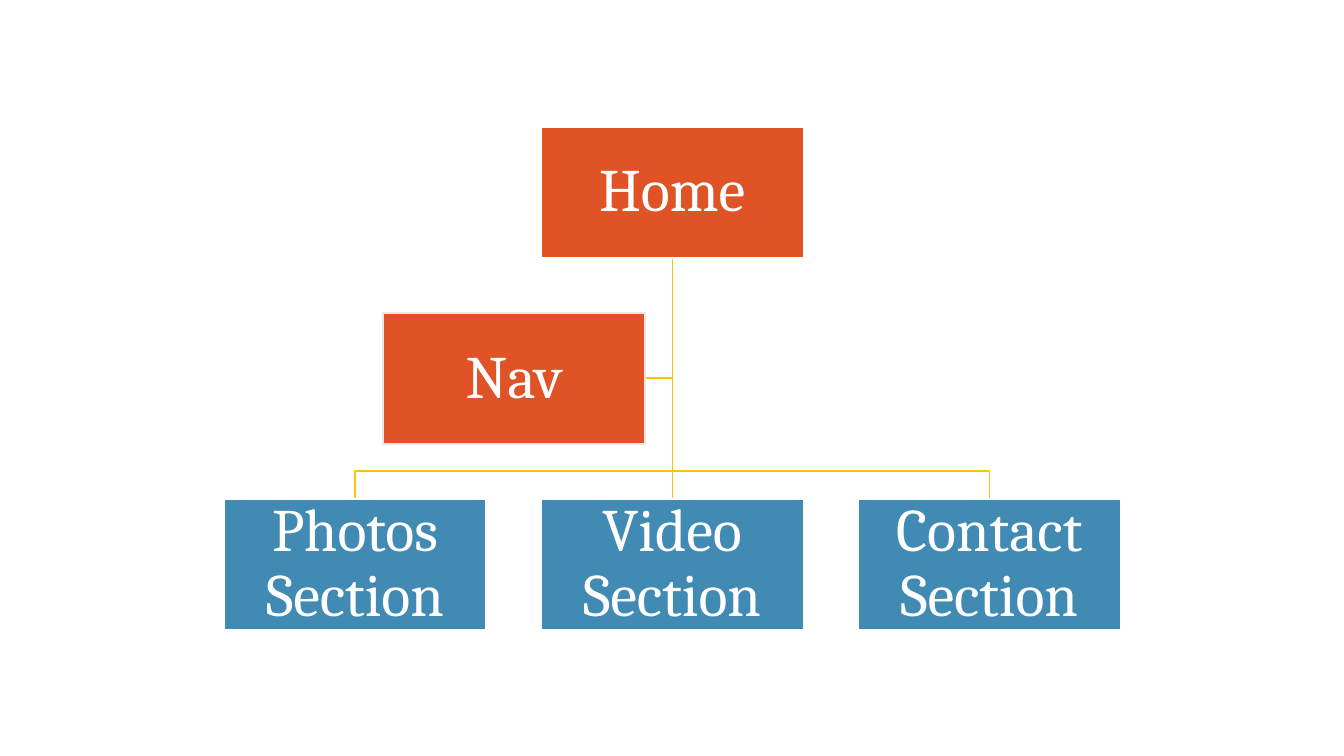
from lxml import etree
from pptx import Presentation
from pptx.dml.color import RGBColor
from pptx.enum.shapes import MSO_CONNECTOR, MSO_SHAPE
from pptx.enum.text import MSO_ANCHOR, PP_ALIGN
from pptx.oxml.ns import qn
from pptx.util import Emu, Inches, Pt

RECTANGLE = MSO_SHAPE.RECTANGLE
STRAIGHT = MSO_CONNECTOR.STRAIGHT
MIDDLE = MSO_ANCHOR.MIDDLE
CENTER = PP_ALIGN.CENTER

SCALE = 914400 / 100.8
COLORS = {
    "orange": "DF5327",
    "blue": "418AB3",
    "link": "FEC306",
    "white": "FFFFFF",
    "gray": "E7E7E7",
}
FONT = "Cambria"
LINE_WIDTH = Pt(0.85)

BOX_WIDTH, BOX_HEIGHT = 262, 131
CENTER_X = 672
COLUMN_STEP = 317
HOME_TOP, ROW_STEP = 127, 186
NAV_TOP = HOME_TOP + ROW_STEP
SECTION_TOP = NAV_TOP + ROW_STEP
HOME_BOTTOM = HOME_TOP + BOX_HEIGHT
NAV_LEFT = 383
BRANCH_Y = 471
SECTIONS = ["Photos Section", "Video Section", "Contact Section"]


def px(value):
    """Turn pixels into EMU."""
    return Emu(round(value * SCALE))


def color(name):
    """Look up a named colour."""
    return RGBColor.from_string(COLORS[name])


def style_line(shape, name):
    """Set the line colour and width of a shape."""
    shape.line.color.rgb = color(name)
    shape.line.width = LINE_WIDTH


def add_straight_link(slide, start, end):
    """Draw a straight link between two points."""
    link = slide.shapes.add_connector(STRAIGHT, *map(px, start + end))
    style_line(link, "link")
    etree.SubElement(link._element.spPr, qn("a:effectLst"))


def add_bent_link(slide, points):
    """Draw an open bent link through the points."""
    start, *others = [(px(x), px(y)) for x, y in points]
    builder = slide.shapes.build_freeform(*start, scale=1.0)
    builder.add_line_segments(others, close=False)
    link = builder.convert_to_shape()
    link.fill.background()
    link.shadow.inherit = False
    style_line(link, "link")


def add_box(slide, label, left, top, fill, outline="white"):
    """Add a filled box with a centred label."""
    box = slide.shapes.add_shape(
        RECTANGLE, px(left), px(top), px(BOX_WIDTH), px(BOX_HEIGHT))
    box.shadow.inherit = False
    box.fill.solid()
    box.fill.fore_color.rgb = color(fill)
    style_line(box, outline)
    frame = box.text_frame
    frame.word_wrap = True
    frame.vertical_anchor = MIDDLE
    frame.margin_left = frame.margin_right = px(3)
    frame.margin_top = frame.margin_bottom = px(3)
    frame.text = label
    paragraph = frame.paragraphs[0]
    paragraph.alignment = CENTER
    paragraph.line_spacing = 0.9
    font = paragraph.runs[0].font
    font.name = FONT
    font.size = Pt(43)
    font.color.rgb = color("white")


def main():
    """Build the site map slide."""
    presentation = Presentation()
    presentation.slide_width = Inches(13.33)
    presentation.slide_height = Inches(7.5)
    slide = presentation.slides.add_slide(presentation.slide_layouts[6])

    home_exit = (CENTER_X, HOME_BOTTOM)
    nav_middle = NAV_TOP + BOX_HEIGHT // 2
    add_bent_link(slide, [home_exit, (CENTER_X, nav_middle),
                          (NAV_LEFT + BOX_WIDTH, nav_middle)])
    for column_x in (CENTER_X + COLUMN_STEP, CENTER_X - COLUMN_STEP):
        add_bent_link(slide, [home_exit, (CENTER_X, BRANCH_Y),
                              (column_x, BRANCH_Y), (column_x, SECTION_TOP)])
    add_straight_link(slide, home_exit, (CENTER_X, SECTION_TOP))

    home_left = CENTER_X - BOX_WIDTH // 2
    add_box(slide, "Home", home_left, HOME_TOP, "orange")
    for column, label in enumerate(SECTIONS, start=-1):
        left = home_left + column * COLUMN_STEP
        add_box(slide, label, left, SECTION_TOP, "blue")
    add_box(slide, "Nav", NAV_LEFT, NAV_TOP, "orange", "gray")

    presentation.save("out.pptx")


main()
